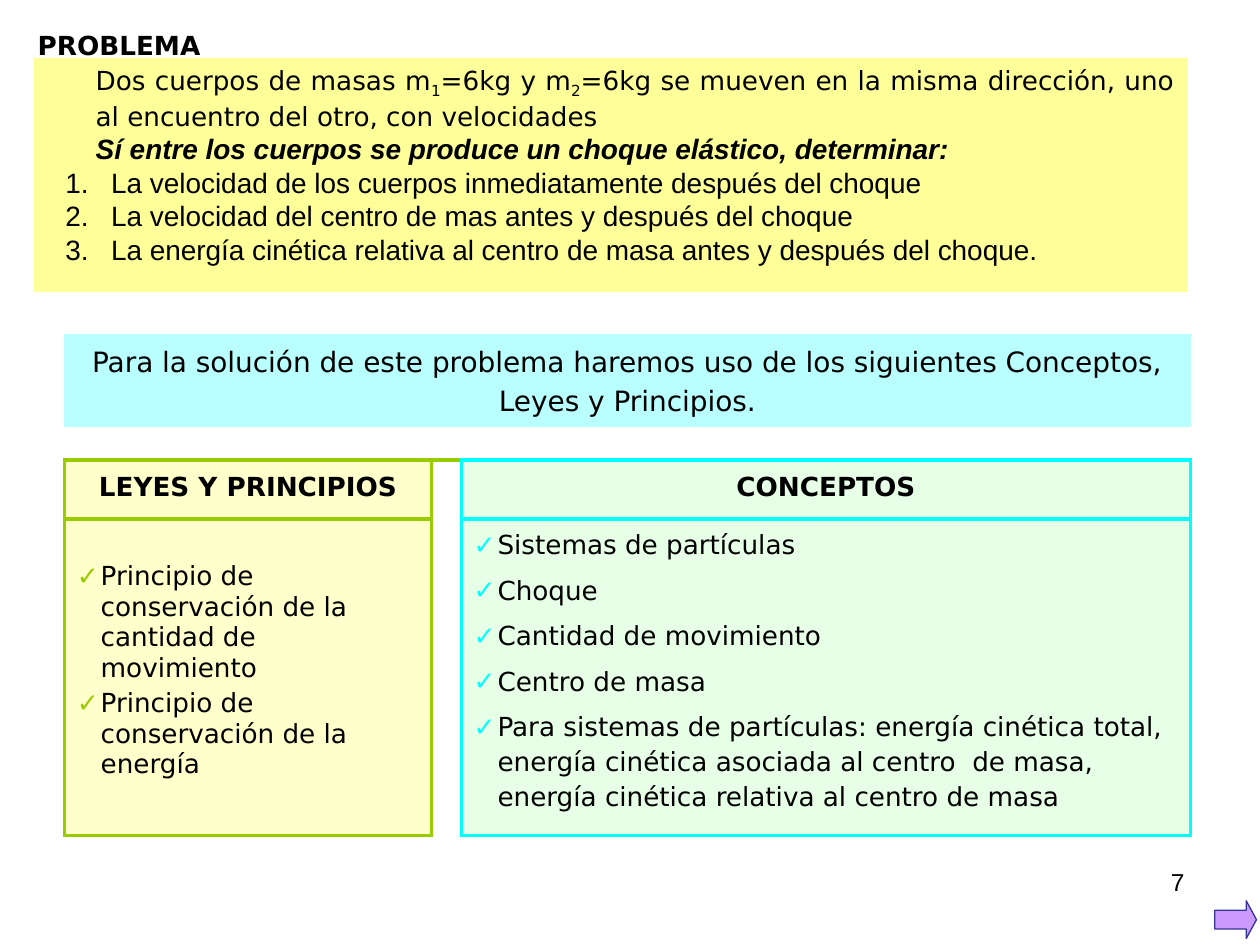
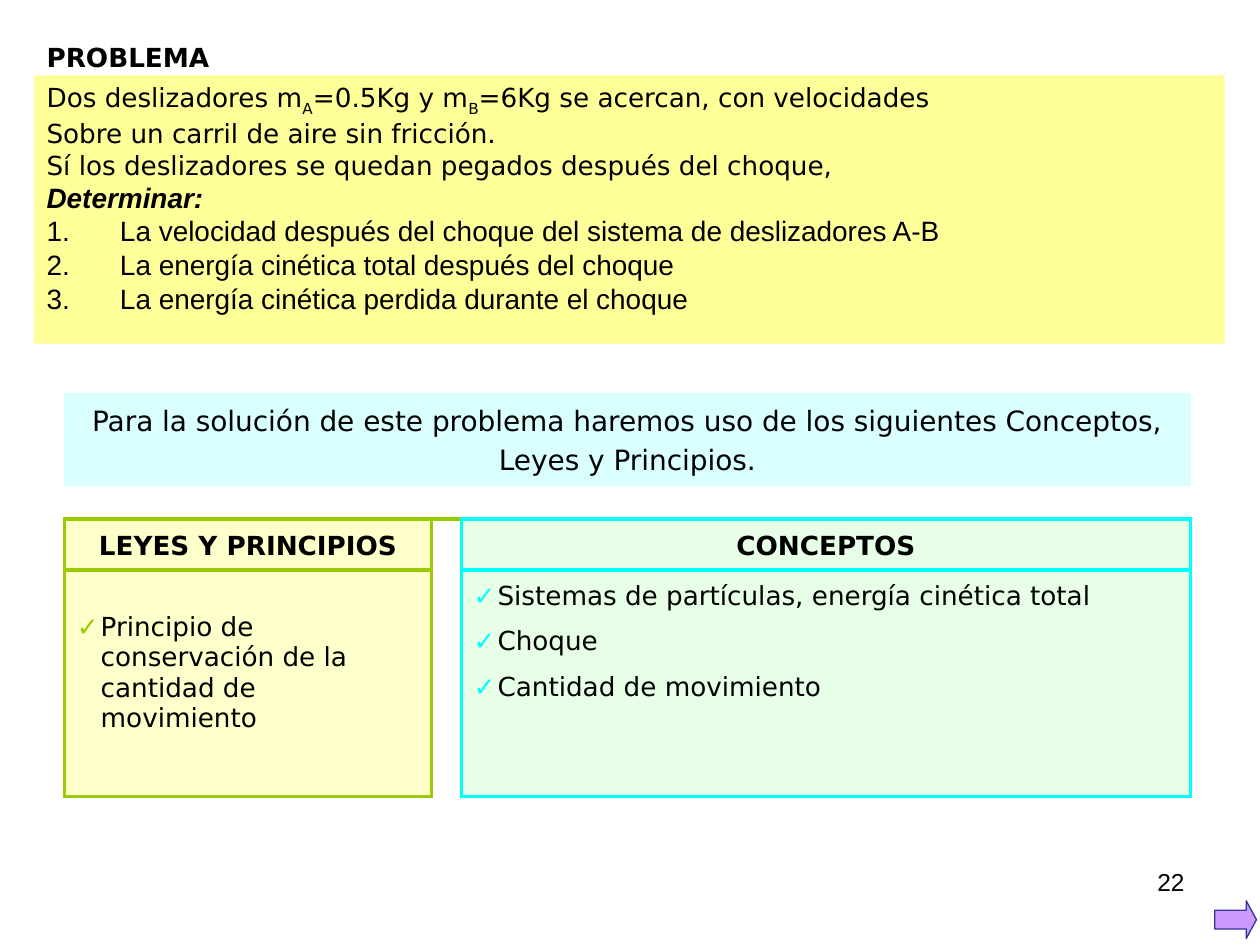
import lxml.etree
import pptx
import pptx.dml.color
import pptx.enum.shapes
import pptx.enum.text
import pptx.oxml.ns
import pptx.util

Cm, Pt = pptx.util.Cm, pptx.util.Pt
qn = pptx.oxml.ns.qn
ALIGN = pptx.enum.text.PP_ALIGN
SHAPES = pptx.enum.shapes.MSO_SHAPE

SANS, ARIAL = "DejaVu Sans", "Arial"
BLACK, WHITE = "000000", "FFFFFF"
GREEN, CYAN = "99CC00", "00FFFF"
LAWS_FILL, CONCEPTS_FILL, STATEMENT_FILL = "FFFFCC", "E7FFE7", "FFFF99"
ARROW_FILL, ARROW_LINE = "CC99FF", "333399"

INTRO = ("Para la solución de este problema haremos uso de los siguientes "
         "Conceptos, Leyes y Principios.")
MOMENTUM_LAW = "Principio de conservación de la cantidad de movimiento"
COLUMN_WIDTHS = (7.4, 0.58, 14.7)

# Text between bars is set as subscript; indents are (left margin, first line) in cm.
problems = [
    {
        "number": "7",
        "title_at": (0.51, 0.46),
        "statement_at": (0.69, 1.17, 23.24, 4.72),
        "intro": ["Dos cuerpos de masas m|1|=6kg y m|2|=6kg se mueven en la misma "
                  "dirección, uno al encuentro del otro, con velocidades"],
        "request": "Sí entre los cuerpos se produce un choque elástico, determinar:",
        "questions": [
            "La velocidad de los cuerpos inmediatamente después del choque",
            "La velocidad del centro de mas antes y después del choque",
            "La energía cinética relativa al centro de masa antes y después del choque.",
        ],
        "text_indent": (0.99, 0),
        "question_indent": (1.3, -0.92),
        "table_top": 6.73,
        "row_heights": (1.88, 0.66, 1.19, 6.38),
        "intro_fill": "B9FFFF",
        "laws": [MOMENTUM_LAW, "Principio de conservación de la energía"],
        "concepts": [
            "Sistemas de partículas", "Choque", "Cantidad de movimiento", "Centro de masa",
            "Para sistemas de partículas: energía cinética total, energía cinética asociada "
            "al centro  de masa, energía cinética relativa al centro de masa",
        ],
    },
    {
        "number": "22",
        "title_at": (0.69, 0.71),
        "statement_at": (0.69, 1.52, 24, 5.41),
        "intro": ["Dos deslizadores m|A|=0.5Kg y m|B|=6Kg se acercan, con velocidades",
                  "Sobre un carril de aire sin fricción.",
                  "Sí los deslizadores se quedan pegados después del choque,"],
        "request": "Determinar:",
        "questions": [
            "La velocidad después del choque del sistema de deslizadores A-B",
            "La energía cinética total después del choque",
            "La energía cinética perdida durante el choque",
        ],
        "text_indent": (1.48, -1.48),
        "question_indent": (1.48, -1.48),
        "table_top": 7.92,
        "row_heights": (1.88, 0.66, 1.02, 4.57),
        "intro_fill": "D9FFFF",
        "laws": [MOMENTUM_LAW],
        "concepts": ["Sistemas de partículas, energía cinética total", "Choque",
                     "Cantidad de movimiento"],
    },
]


def rgb(hex_code):
    return pptx.dml.color.RGBColor.from_string(hex_code)


def write(frame, text, font=SANS, size=15, bold=False, italic=False, align=ALIGN.LEFT,
          spacing=None, before=0, after=0, indent=(0, 0), bullet=None):
    """Add a paragraph; bullet is None, "number" or the colour of a check mark."""
    paragraph = frame.paragraphs[0]
    if paragraph.runs:
        paragraph = frame.add_paragraph()
    paragraph.alignment = align
    paragraph.line_spacing = spacing
    paragraph.space_before, paragraph.space_after = Pt(before), Pt(after)
    properties = paragraph._p.get_or_add_pPr()
    properties.set("marL", str(Cm(indent[0])))
    properties.set("indent", str(Cm(indent[1])))
    if bullet == "number":
        lxml.etree.SubElement(properties, qn("a:buAutoNum"), type="arabicPeriod")
    elif bullet:
        tint = lxml.etree.SubElement(properties, qn("a:buClr"))
        lxml.etree.SubElement(tint, qn("a:srgbClr"), val=bullet)
        lxml.etree.SubElement(properties, qn("a:buFont"), typeface=SANS)
        lxml.etree.SubElement(properties, qn("a:buChar"), char="✓")
    for position, piece in enumerate(text.split("|")):
        run = paragraph.add_run()
        run.text = piece
        run.font.name, run.font.size = font, Pt(size)
        run.font.bold, run.font.italic = bold, italic
        run.font.color.rgb = rgb(BLACK)
        if position % 2:
            run._r.get_or_add_rPr().set("baseline", "-25000")


deck = pptx.Presentation()
deck.slide_width, deck.slide_height = Cm(25.4), Cm(19.05)

for problem in problems:
    slide = deck.slides.add_slide(deck.slide_layouts[6])

    # Page number and forward arrow
    page_number = slide.shapes.add_textbox(Cm(18.21), Cm(17.35), Cm(5.92), Cm(1.32))
    page_number.text_frame.word_wrap = True
    write(page_number.text_frame, problem["number"], ARIAL, 14, align=ALIGN.RIGHT)
    forward = slide.shapes.add_shape(SHAPES.RIGHT_ARROW, Cm(24.49), Cm(18.16),
                                     Cm(0.84), Cm(0.76))
    forward.adjustments[1] = 0.27
    forward.shadow.inherit = False
    forward.fill.solid()
    forward.fill.fore_color.rgb = rgb(ARROW_FILL)
    forward.line.color.rgb = rgb(ARROW_LINE)
    forward.line.width = Pt(0.75)

    # Problem statement
    statement = slide.shapes.add_shape(SHAPES.RECTANGLE, *map(Cm, problem["statement_at"]))
    statement.shadow.inherit = False
    statement.fill.solid()
    statement.fill.fore_color.rgb = rgb(STATEMENT_FILL)
    statement.line.fill.background()
    frame = statement.text_frame
    frame.word_wrap = True
    frame.vertical_anchor = pptx.enum.text.MSO_ANCHOR.TOP
    for line in problem["intro"]:
        write(frame, line, align=ALIGN.JUSTIFY, indent=problem["text_indent"])
    write(frame, problem["request"], ARIAL, 16, bold=True, italic=True,
          align=ALIGN.JUSTIFY, indent=problem["text_indent"])
    for question in problem["questions"]:
        write(frame, question, ARIAL, 16, align=ALIGN.JUSTIFY,
              indent=problem["question_indent"], bullet="number")

    title = slide.shapes.add_textbox(*map(Cm, problem["title_at"]), Cm(10.19), Cm(0.91))
    title.text_frame.word_wrap = True
    write(title.text_frame, "PROBLEMA", bold=True, before=3)

    # Table of laws and concepts
    heights = problem["row_heights"]
    table = slide.shapes.add_table(4, 3, Cm(1.3), Cm(problem["table_top"]),
                                   Cm(sum(COLUMN_WIDTHS)), Cm(sum(heights))).table
    table.first_row = table.horz_banding = False
    for column, width in zip(table.columns, COLUMN_WIDTHS):
        column.width = Cm(width)
    for row, height in zip(table.rows, heights):
        row.height = Cm(height)

    for r in range(4):
        for c in range(3):
            cell = table.cell(r, c)
            cell.margin_left = cell.margin_right = Cm(0.25)
            cell.margin_top = cell.margin_bottom = Cm(0.13)
            cell.fill.solid()
            row_fills = (LAWS_FILL, WHITE, CONCEPTS_FILL)
            cell.fill.fore_color.rgb = rgb(
                (problem["intro_fill"], WHITE)[r] if r < 2 else row_fills[c])

            column_color = (GREEN, GREEN, CYAN)[c]
            if r == 0:
                edges = {}
            elif r == 1:
                edges = {"B": column_color}
            elif c == 1:
                edges = {"L": GREEN, "R": CYAN}
                if r == 2:
                    edges["T"] = GREEN
            else:
                edges = dict.fromkeys("LRTB", column_color)
            for place, side in enumerate("LRTB"):
                edge = lxml.etree.Element(qn(f"a:ln{side}"), w=str(Pt(2.25)))
                if side in edges:
                    paint = lxml.etree.SubElement(edge, qn("a:solidFill"))
                    lxml.etree.SubElement(paint, qn("a:srgbClr"), val=edges[side])
                else:
                    lxml.etree.SubElement(edge, qn("a:noFill"))
                cell._tc.get_or_add_tcPr().insert(place, edge)

            # Keep empty cells from stretching their rows
            if r == 1 or c == 1:
                end = cell.text_frame.paragraphs[0]._p
                lxml.etree.SubElement(end, qn("a:endParaRPr"), sz="600")

    table.cell(0, 0).merge(table.cell(0, 2))
    table.cell(1, 0).merge(table.cell(1, 2))
    write(table.cell(0, 0).text_frame, INTRO, size=16, align=ALIGN.CENTER,
          spacing=1.2, before=0.8)
    for c, heading in ((0, "LEYES Y PRINCIPIOS"), (2, "CONCEPTOS")):
        write(table.cell(2, c).text_frame, heading, bold=True, align=ALIGN.CENTER,
              spacing=1.2, before=0.75)

    laws, concepts = table.cell(3, 0), table.cell(3, 2)
    laws.margin_top = Cm(0.85)
    for law in problem["laws"]:
        write(laws.text_frame, law, before=3, indent=(0.48, -0.48), bullet=GREEN)
    for concept in problem["concepts"]:
        write(concepts.text_frame, concept, spacing=1.15, before=3, after=3,
              indent=(0.48, -0.48), bullet=CYAN)

deck.save("out.pptx")
